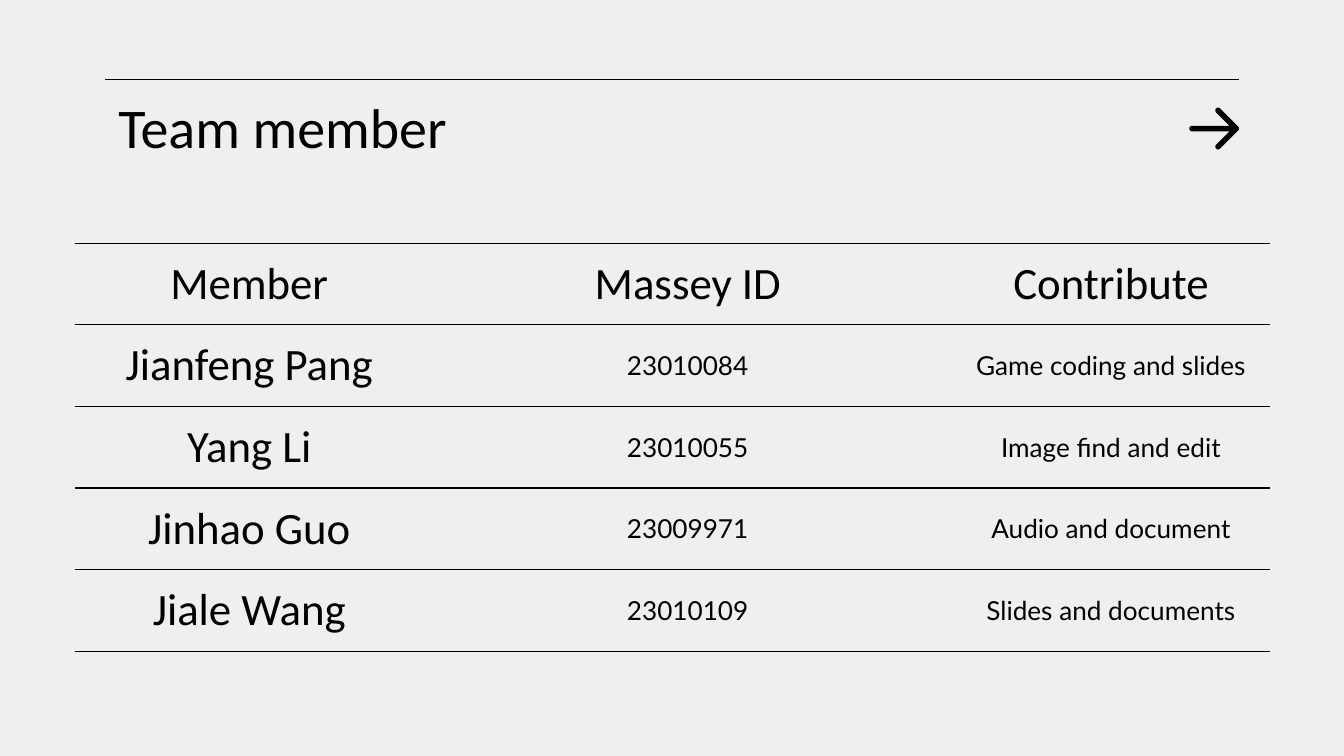
from math import cos, radians, sin, sqrt

from lxml import etree
from pptx import Presentation
from pptx.dml.color import RGBColor
from pptx.enum import shapes, text
from pptx.oxml import ns
from pptx.util import Pt

BLACK = RGBColor(0x00, 0x00, 0x00)
PALE_GREY = RGBColor(0xEF, 0xEF, 0xEF)
MARGIN = Pt(7.2)
RULE_WIDTH = Pt(0.75)
COLUMN_WIDTHS = [186.5, 283.3, 170.2]
ROW_HEIGHT = 43.6
LAST_ROW_HEIGHT = 41.2
MEMBERS = [
    ("Member", "Massey ID", "Contribute"),
    ("Jianfeng Pang", "23010084", "Game coding and slides"),
    ("Yang Li", "23010055", "Image find and edit"),
    ("Jinhao Guo", "23009971", "Audio and document"),
    ("Jiale Wang", "23010109", "Slides and documents"),
]


def style_paragraph(para, name, size, align):
    para.alignment = align
    para.font.name = name
    para.font.size = Pt(size)
    para.font.color.rgb = BLACK


def add_title(page, words):
    title = page.shapes.title
    title.left, title.top, title.width, title.height = Pt(56.2), Pt(42.5), Pt(607.6), Pt(37.4)
    frame = title.text_frame
    frame.text = words
    frame.word_wrap = True
    frame.auto_size = text.MSO_AUTO_SIZE.NONE
    frame.vertical_anchor = text.MSO_ANCHOR.TOP
    frame.margin_left = frame.margin_right = MARGIN
    frame.margin_top = frame.margin_bottom = MARGIN
    style_paragraph(frame.paragraphs[0], "Calibri", 30, text.PP_ALIGN.LEFT)


def add_rule(page, left, right, y):
    rule = page.shapes.add_connector(
        shapes.MSO_CONNECTOR.STRAIGHT, Pt(left), Pt(y), Pt(right), Pt(y)
    )
    rule.line.color.rgb = BLACK
    rule.line.width = RULE_WIDTH
    etree.SubElement(rule._element.spPr, ns.qn("a:effectLst"))


def arc(x, y, radius, start, end):
    return [
        (x + radius * cos(radians(angle)), y + radius * sin(radians(angle)))
        for angle in range(start, end + 1, 15)
    ]


def add_arrow(page, left, right, middle, reach, radius):
    tip = right - radius
    wing = tip - reach
    join = tip - radius * (1 + sqrt(2))
    points = (
        arc(left + radius, middle, radius, 90, 270)
        + [(join, middle - radius)]
        + arc(wing, middle - reach, radius, 135, 315)
        + arc(tip, middle, radius, -45, 45)
        + arc(wing, middle + reach, radius, 45, 225)
        + [(join, middle + radius)]
    )
    outline = [(Pt(x), Pt(y)) for x, y in points]
    builder = page.shapes.build_freeform(*outline[0])
    builder.add_line_segments(outline[1:], close=True)
    arrow = builder.convert_to_shape()
    arrow.shadow.inherit = False
    arrow.fill.solid()
    arrow.fill.fore_color.rgb = BLACK
    arrow.line.fill.background()


def set_borders(cell, drawn):
    properties = cell._tc.get_or_add_tcPr()
    for position, side in enumerate(("lnL", "lnR", "lnT", "lnB")):
        border = etree.Element(ns.qn(f"a:{side}"))
        if side in drawn:
            border.set("w", str(int(RULE_WIDTH)))
            fill = etree.SubElement(border, ns.qn("a:solidFill"))
            etree.SubElement(fill, ns.qn("a:srgbClr"), val=str(BLACK))
        else:
            etree.SubElement(border, ns.qn("a:noFill"))
        properties.insert(position, border)


def fill_cell(cell, words, name, size):
    cell.text = words
    cell.vertical_anchor = text.MSO_ANCHOR.MIDDLE
    cell.margin_left = cell.margin_right = MARGIN
    cell.margin_top = cell.margin_bottom = MARGIN
    style_paragraph(cell.text_frame.paragraphs[0], name, size, text.PP_ALIGN.CENTER)


def add_member_table(page, left, top):
    heights = [ROW_HEIGHT] * len(MEMBERS) + [LAST_ROW_HEIGHT]
    table = page.shapes.add_table(
        len(heights), len(COLUMN_WIDTHS),
        Pt(left), Pt(top), Pt(sum(COLUMN_WIDTHS)), Pt(sum(heights)),
    ).table
    table.first_row = table.horz_banding = False
    for column, width in zip(table.columns, COLUMN_WIDTHS):
        column.width = Pt(width)
    for row, height in zip(table.rows, heights):
        row.height = Pt(height)
    for row_index, row in enumerate(table.rows):
        has_text = row_index < len(MEMBERS)
        for column_index, cell in enumerate(row.cells):
            cell.fill.background()
            set_borders(cell, ("lnT", "lnB") if has_text else ("lnT",))
            if has_text:
                large = row_index == 0 or column_index == 0
                name, size = ("Calibri", 24) if large else ("Lato", 14)
                fill_cell(cell, MEMBERS[row_index][column_index], name, size)


def main():
    deck = Presentation()
    deck.slide_width, deck.slide_height = Pt(720), Pt(405)
    page = deck.slides.add_slide(deck.slide_layouts[5])
    page.background.fill.solid()
    page.background.fill.fore_color.rgb = PALE_GREY
    add_rule(page, 56.2, 663.8, 42.5)
    add_title(page, "Team member")
    add_member_table(page, 40.3, 130.3)
    add_arrow(page, 637.2, 663.8, 68.9, 9.7, 1.5)
    deck.save("out.pptx")


if __name__ == "__main__":
    main()
